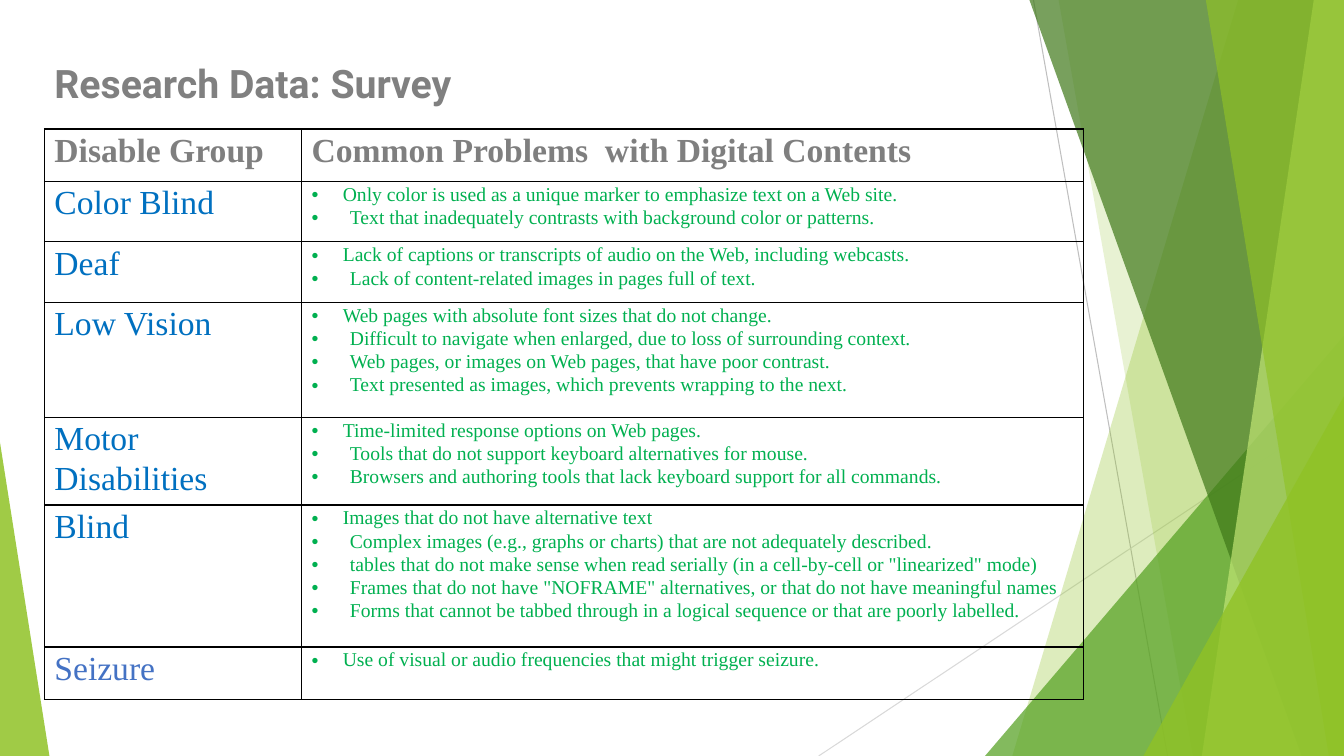
from dataclasses import dataclass

from lxml.etree import SubElement
from pptx import Presentation
from pptx.dml.color import RGBColor
from pptx.enum.shapes import MSO_CONNECTOR as Connector, MSO_SHAPE as Preset
from pptx.enum.text import MSO_ANCHOR as Anchor, MSO_AUTO_SIZE as AutoSize, PP_ALIGN as Align
from pptx.oxml.ns import qn
from pptx.util import Pt

PX = 9144
WIDTH, HEIGHT = 1333, 750


@dataclass(frozen=True)
class Theme:
    """Colours, fonts and type sizes of the slide."""
    title: str = "808080"
    header: str = "7F7F7F"
    group: str = "0070C0"
    last_group: str = "4472C4"
    problem: str = "00B050"
    border: str = "000000"
    green: str = "90C226"
    mid_green: str = "54A021"
    dark_green: str = "3F7819"
    pale_green: str = "C0E474"
    line: str = "BFBFBF"
    pale_line: str = "D9D9D9"
    title_font: str = "Roboto"
    body_font: str = "Times New Roman"
    title_size: int = 28
    group_size: int = 24
    problem_size: int = 14


THEME = Theme()

HEADERS = ("Disable Group", "Common Problems  with Digital Contents")
GROUPS = (
    ("Color Blind", 60, THEME.group, (
        "Only color is used as a unique marker to emphasize text on a Web site.",
        "Text that inadequately contrasts with background color or patterns.")),
    ("Deaf", 60, THEME.group, (
        "Lack of captions or transcripts of audio on the Web, including webcasts.",
        "Lack of content-related images in pages full of text.")),
    ("Low Vision", 114, THEME.group, (
        "Web pages with absolute font sizes that do not change.",
        "Difficult to navigate when enlarged, due to loss of surrounding context.",
        "Web pages, or images on Web pages, that have poor contrast.",
        "Text presented as images, which prevents wrapping to the next.")),
    ("Motor Disabilities", 87, THEME.group, (
        "Time-limited response options on Web pages.",
        "Tools that do not support keyboard alternatives for mouse.",
        "Browsers and authoring tools that lack keyboard support for all commands.")),
    ("Blind", 141, THEME.group, (
        "Images that do not have alternative text",
        "Complex images (e.g., graphs or charts) that are not adequately described.",
        'tables that do not make sense when read serially (in a cell-by-cell or "linearized" mode)',
        'Frames that do not have "NOFRAME" alternatives, or that do not have meaningful names',
        "Forms that cannot be tabbed through in a logical sequence or that are poorly labelled.")),
    ("Seizure", 52, THEME.last_group, (
        "Use of visual or audio frequencies that might trigger seizure.",)),
)


def px(*lengths):
    """Turn pixel lengths into EMU."""
    return [length * PX for length in lengths]


def add_run(paragraph, text, font, size, color, bold=False):
    """Add one formatted run to a paragraph."""
    run = paragraph.add_run()
    run.text = text
    run.font.name = font
    run.font.size = Pt(size)
    run.font.bold = bold
    run.font.color.rgb = RGBColor.from_string(color)


def paint(shape, color, opacity):
    """Give a shape a translucent fill without line or shadow."""
    shape.shadow.inherit = False
    shape.line.fill.background()
    shape.fill.solid()
    shape.fill.fore_color.rgb = RGBColor.from_string(color)
    color_node = shape.fill._xPr.find(qn("a:solidFill"))[0]
    SubElement(color_node, qn("a:alpha"), val=str(opacity * 1000))


def add_hairline(slide, start, end, color):
    """Draw a thin straight line."""
    line = slide.shapes.add_connector(Connector.STRAIGHT, *px(*start, *end))
    line.line.width = Pt(0.75)
    line.line.color.rgb = RGBColor.from_string(color)
    SubElement(line._element.spPr, qn("a:effectLst"))


def add_shard(slide, box, top_x, bottom_x, color, opacity):
    """Draw a slanted band that reaches the right edge of the box."""
    left, top, width, height = box
    right, bottom = left + width, top + height
    builder = slide.shapes.build_freeform(left + top_x, top, scale=PX)
    builder.add_line_segments([(right, top), (right, bottom), (left + bottom_x, bottom)])
    paint(builder.convert_to_shape(), color, opacity)


def add_wedge(slide, box, apex, color, opacity):
    """Draw a right-angled triangle with its apex at one side."""
    wedge = slide.shapes.add_shape(Preset.ISOSCELES_TRIANGLE, *px(*box))
    wedge.adjustments[0] = apex
    paint(wedge, color, opacity)


def add_backdrop(slide, box):
    """Draw the lines and green facets behind the content."""
    left, top, width, height = box
    right, bottom = left + width, top + height

    def shard(edge, top_x, bottom_x, color, opacity):
        """Place a band measured from its left edge."""
        area = (left + edge, top, width - edge, height)
        add_shard(slide, area, top_x, bottom_x, color, opacity)

    def corner(wedge_width, wedge_height, color, opacity):
        """Place a wedge in the bottom right corner."""
        area = (right - wedge_width, bottom - wedge_height, wedge_width, wedge_height)
        add_wedge(slide, area, 1, color, opacity)

    add_hairline(slide, (left + 1025, top), (left + 1158, bottom), THEME.line)
    add_hairline(slide, (right, top + 403), (left + 812, bottom), THEME.pale_line)
    shard(1004, 224, 0, THEME.green, 30)
    shard(1050, 0, 133, THEME.green, 20)
    corner(356, 417, THEME.mid_green, 72)
    shard(1021, 0, 270, THEME.dark_green, 70)
    shard(1192, 111, 0, THEME.pale_green, 70)
    shard(1196, 0, 122, THEME.green, 65)
    corner(199, 357, THEME.green, 80)
    add_wedge(slide, (left, bottom - 311, 49, 311), 0, THEME.green, 85)


def add_title(slide, box, text):
    """Move and format the title placeholder."""
    title = slide.shapes.title
    title.left, title.top, title.width, title.height = px(*box)
    frame = title.text_frame
    frame.word_wrap = False
    frame.auto_size = AutoSize.NONE
    frame.vertical_anchor = Anchor.TOP
    paragraph = frame.paragraphs[0]
    paragraph.alignment = Align.LEFT
    add_run(paragraph, text, THEME.title_font, THEME.title_size, THEME.title, True)


def format_cell(cell):
    """Set the margins, borders and empty fill of a cell."""
    cell.margin_left, cell.margin_top, cell.margin_right, cell.margin_bottom = px(10, 1, 10, 0)
    properties = cell._tc.get_or_add_tcPr()
    for side in ("lnL", "lnR", "lnT", "lnB"):
        border = SubElement(properties, qn(f"a:{side}"), w=str(Pt(1)))
        fill = SubElement(border, qn("a:solidFill"))
        SubElement(fill, qn("a:srgbClr"), val=THEME.border)
    cell.fill.background()


def fill_cell(cell, texts, size, color, bold=False, bulleted=False):
    """Write the paragraphs of a cell, with bullets if wanted."""
    format_cell(cell)
    frame = cell.text_frame
    for index, text in enumerate(texts):
        paragraph = frame.add_paragraph() if index else frame.paragraphs[0]
        paragraph.line_spacing = 1.07
        if bulleted:
            indent = (38 if index else 31) * PX
            properties = paragraph._p.get_or_add_pPr()
            properties.set("marL", str(indent))
            properties.set("indent", str(-indent))
            SubElement(properties, qn("a:buFont"), typeface="Arial")
            SubElement(properties, qn("a:buChar"), char="•")
        add_run(paragraph, text, THEME.body_font, size, color, bold)


def add_survey_table(slide, box):
    """Add the table of groups and their problems."""
    table = slide.shapes.add_table(len(GROUPS) + 1, len(HEADERS), *px(*box)).table
    table.first_row = table.horz_banding = False
    table.columns[0].width, table.columns[1].width = px(255, box[2] - 255)
    table.rows[0].height = 52 * PX
    for column, header in enumerate(HEADERS):
        fill_cell(table.cell(0, column), [header], THEME.group_size, THEME.header, bold=True)
    for row, (group, height, color, problems) in enumerate(GROUPS, 1):
        table.rows[row].height = height * PX
        fill_cell(table.cell(row, 0), [group], THEME.group_size, color)
        fill_cell(table.cell(row, 1), problems, THEME.problem_size, THEME.problem, bulleted=True)


def main():
    """Build and save the presentation."""
    presentation = Presentation()
    presentation.slide_width, presentation.slide_height = px(WIDTH, HEIGHT)
    slide = presentation.slides.add_slide(presentation.slide_layouts[5])
    add_backdrop(slide, (0, 0, WIDTH, HEIGHT))
    add_survey_table(slide, (44, 128, 1031, 567))
    add_title(slide, (44, 54, 444, 57), "Research Data: Survey")
    presentation.save("out.pptx")


if __name__ == "__main__":
    main()
